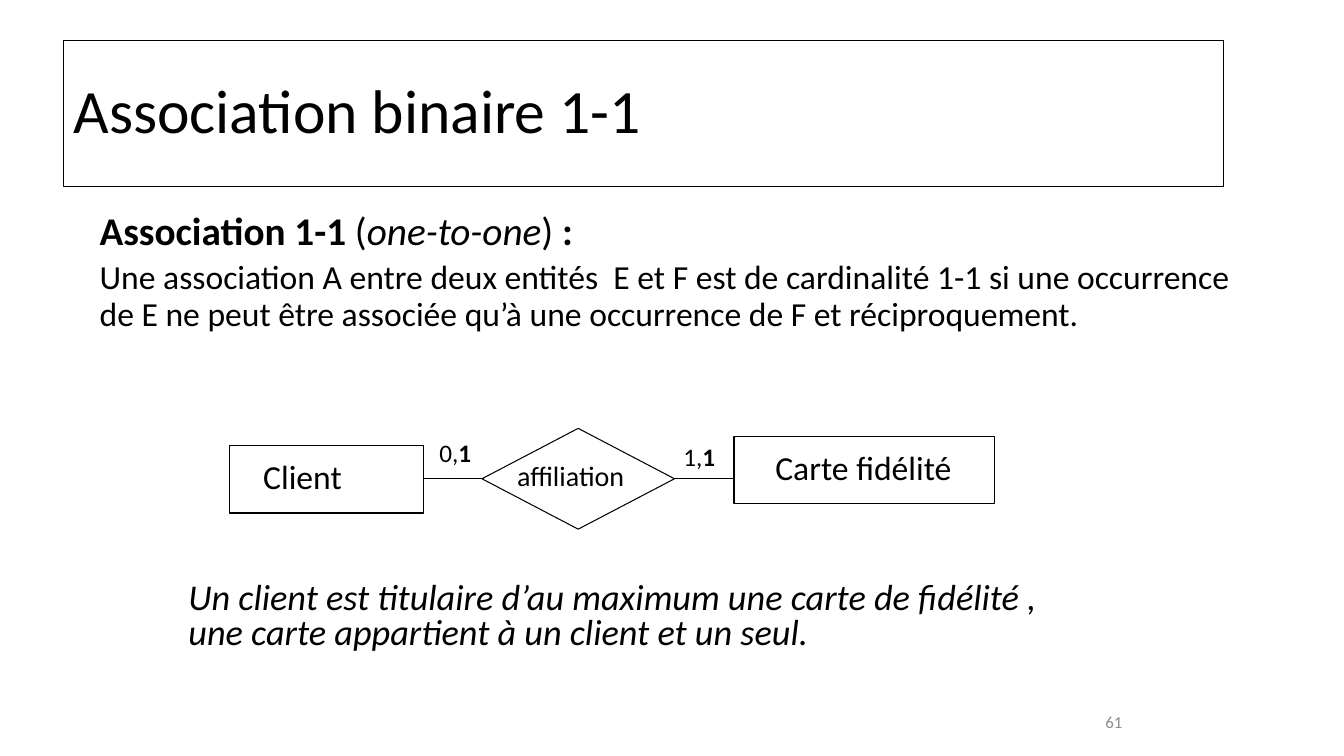
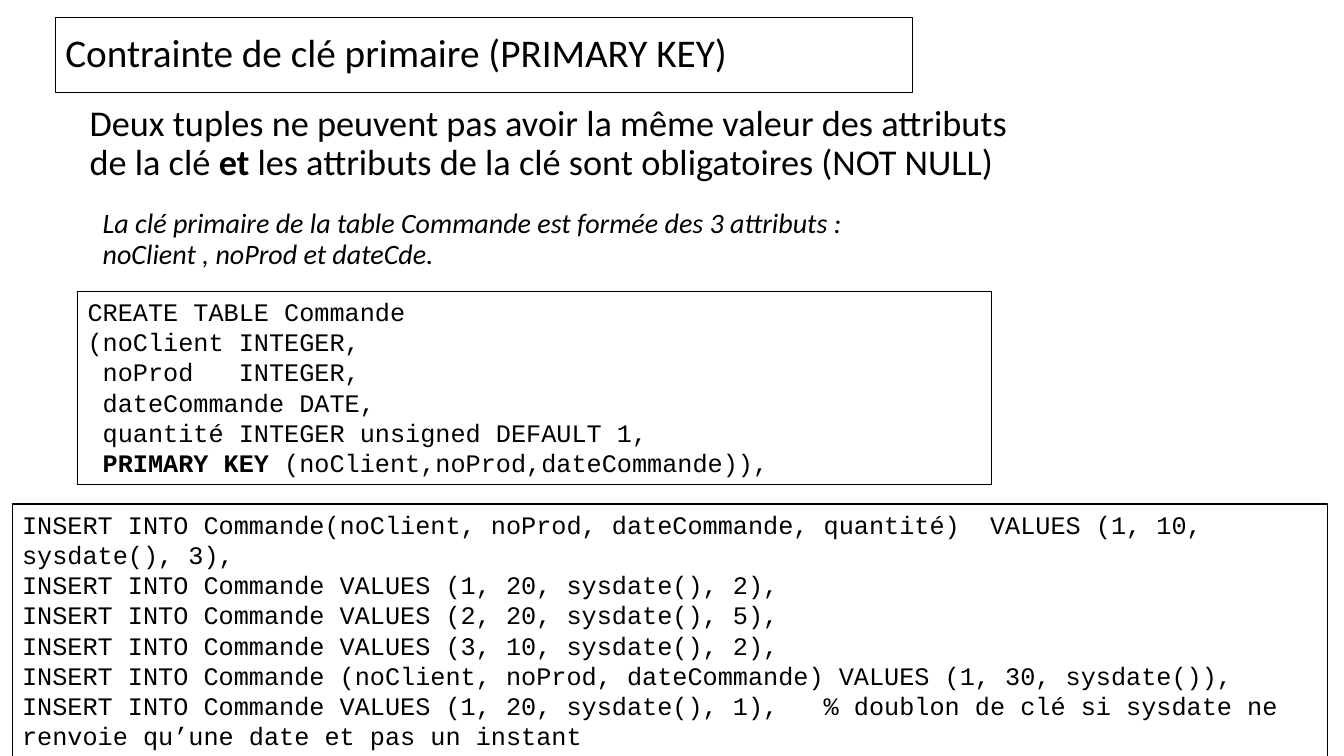
from lxml import etree
from pptx import Presentation
from pptx import util as u
from pptx.dml.color import RGBColor
from pptx.enum import shapes, text
from pptx.oxml import ns

BLACK = RGBColor(0, 0, 0)
WHITE = RGBColor(255, 255, 255)
GRAY = RGBColor(0x8C, 0x8C, 0x8C)
SANS, MONO = "Calibri", "Courier New"

CREATE = [
    [("CREATE TABLE Commande", "")],
    [("(noClient\tINTEGER,", "")],
    [(" noProd\tINTEGER,", "")],
    [(" dateCommande DATE,", "")],
    [(" quantité\tINTEGER unsigned DEFAULT 1,", "")],
    [(" ", ""), ("PRIMARY KEY ", "b"), ("(noClient,noProd,dateCommande)),", "")],
]
INSERTS = [
    "INSERT INTO Commande(noClient, noProd, dateCommande, quantité)  VALUES (1, 10, sysdate(), 3),",
    "INSERT INTO Commande VALUES (1, 20, sysdate(), 2),",
    "INSERT INTO Commande VALUES (2, 20, sysdate(), 5),",
    "INSERT INTO Commande VALUES (3, 10, sysdate(), 2),",
    "INSERT INTO Commande (noClient, noProd, dateCommande) VALUES (1, 30, sysdate()),",
    "INSERT INTO Commande VALUES (1, 20, sysdate(), 1),   % doublon de clé si sysdate ne renvoie qu’une date et pas un instant",
]


def inch(*vals):
    """Turn numbers into lengths in inches."""
    return [u.Inches(v) for v in vals]


def edge(item, width=0.75):
    """Give a shape or connector a thin black line."""
    item.line.color.rgb = BLACK
    item.line.width = u.Pt(width)


def write(para, runs, size, font=SANS, color=BLACK, lead=1.0):
    """Fill one paragraph run by run; style letters are b and i."""
    para.line_spacing = lead
    for words, style in runs:
        run = para.add_run()
        run.text = words
        face = run.font
        face.name, face.size = font, u.Pt(size)
        face.bold, face.italic = "b" in style, "i" in style
        face.color.rgb = color


def label(slide, box, runs, size, wrap=True, mid=False, **look):
    """Place a text box with one paragraph."""
    item = slide.shapes.add_textbox(*inch(*box))
    frame = item.text_frame
    frame.word_wrap = wrap
    if mid:
        frame.vertical_anchor = text.MSO_ANCHOR.MIDDLE
    write(frame.paragraphs[0], runs, size, **look)
    return item


def title(slide, box, words, size, width=0.75):
    """Place the framed slide title."""
    item = label(slide, box, [(words, "")], size, mid=True, lead=0.9)
    edge(item, width)


def outline(slide, kind, box):
    """Draw an unfilled black outline."""
    item = slide.shapes.add_shape(kind, *inch(*box))
    item.shadow.inherit = False
    item.fill.background()
    edge(item)
    return item


def entity(slide, box, name, inset):
    """Draw an entity box with its name."""
    frame = outline(slide, shapes.MSO_SHAPE.RECTANGLE, box).text_frame
    frame.word_wrap = False
    frame.vertical_anchor = text.MSO_ANCHOR.TOP
    frame.margin_left, frame.margin_top = inch(inset, 0.1)
    para = frame.paragraphs[0]
    para.alignment = text.PP_ALIGN.LEFT
    write(para, [(name, "")], 24)


def link(slide, start, end, y):
    """Draw a level line between two parts."""
    item = slide.shapes.add_connector(
        shapes.MSO_CONNECTOR.STRAIGHT, *inch(start, y, end, y))
    edge(item)
    etree.SubElement(item._element.spPr, ns.qn("a:effectLst"))


def diagram(slide, left, top):
    """Draw the client, affiliation and card diagram from its top left."""
    axis = top + 0.5
    entity(slide, (left, top + 0.17, 1.92, 0.67), "Client", 0.33)
    entity(slide, (left + 5, top + 0.08, 2.58, 0.67), "Carte fidélité", 0.41)
    outline(slide, shapes.MSO_SHAPE.DIAMOND, (left + 2.5, top, 1.91, 1))
    label(slide, (left + 2.75, top + 0.25, 1.29, 0.43),
          [("affiliation", "")], 20, wrap=False)
    for start, end in ((1.92, 2.5), (4.41, 5)):
        link(slide, left + start, left + end, axis)
    for x, y, low in ((1.98, 0.04, "0,"), (4.4, 0.08, "1,")):
        label(slide, (left + x, top + y, 0.52, 0.4),
              [(low, ""), ("1", "b")], 18, wrap=False)


def code(slide, box, lines):
    """Place a framed listing."""
    item = slide.shapes.add_textbox(*inch(*box))
    item.fill.solid()
    item.fill.fore_color.rgb = WHITE
    edge(item)
    frame = item.text_frame
    frame.word_wrap = True
    for num, runs in enumerate(lines):
        para = frame.add_paragraph() if num else frame.paragraphs[0]
        write(para, runs, 18, MONO)


def binary(slide):
    """Build the slide on the one-to-one association."""
    title(slide, (0.63, 0.4, 11.5, 1.45), "Association binaire 1-1", 44, 0.5)
    body = label(slide, (0.89, 2.05, 11.74, 1.33), [
        ("Association 1-1 ", "b"), ("(", ""), ("one-to-one", "i"),
        (")", ""), (" :", "b")], 28, lead=0.9)
    para = body.text_frame.add_paragraph()
    para.space_before = u.Pt(5)
    write(para, [("Une association A entre deux entités  E et F est de cardinalité 1-1 si une occurrence de E ne peut être associée qu’à une occurrence de F et réciproquement.", "")], 24, lead=0.9)
    diagram(slide, 2.28, 4.25)
    label(slide, (1.77, 5.73, 9.14, 0.83), [
        ("Un client est titulaire d’au maximum une carte de fidélité , une carte appartient à un client et un seul.", "i")], 25.9, lead=0.8)
    page = label(slide, (10.65, 6.83, 0.58, 0.67), [("61", "")], 12,
                 mid=True, color=GRAY)
    page.text_frame.paragraphs[0].alignment = text.PP_ALIGN.RIGHT


def primary(slide):
    """Build the slide on the primary key."""
    title(slide, (0.55, 0.17, 8.5, 0.75),
          "Contrainte de clé primaire (PRIMARY KEY)", 28)
    label(slide, (0.79, 0.99, 9.5, 1.11), [
        ("Deux tuples ne peuvent pas avoir la même valeur des attributs de la clé ", ""),
        ("et", "b"),
        (" les attributs de la clé sont obligatoires (NOT NULL)", "")],
        25.9, lead=0.9)
    label(slide, (0.92, 2.03, 8.18, 0.78), [
        ("La clé primaire de la table Commande est formée des 3 attributs : noClient , noProd et dateCde.", "i")], 20, lead=0.9)
    code(slide, (0.77, 2.89, 9.06, 1.92), CREATE)
    code(slide, (0.12, 5, 13.05, 2.52), [[(line, "")] for line in INSERTS])


def main():
    """Build and save the deck."""
    deck = Presentation()
    deck.slide_width, deck.slide_height = inch(13.33, 7.5)
    for build in (binary, primary):
        build(deck.slides.add_slide(deck.slide_layouts[6]))
    deck.save("out.pptx")


if __name__ == "__main__":
    main()
